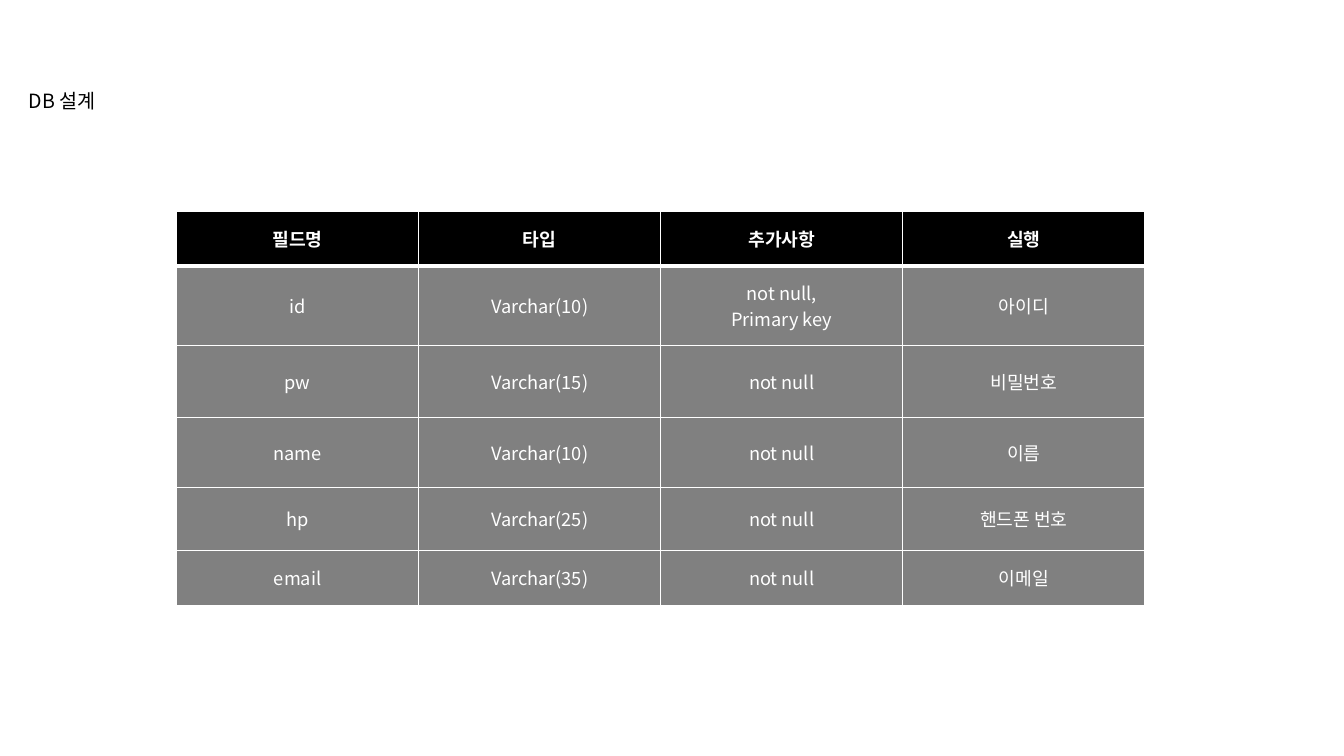
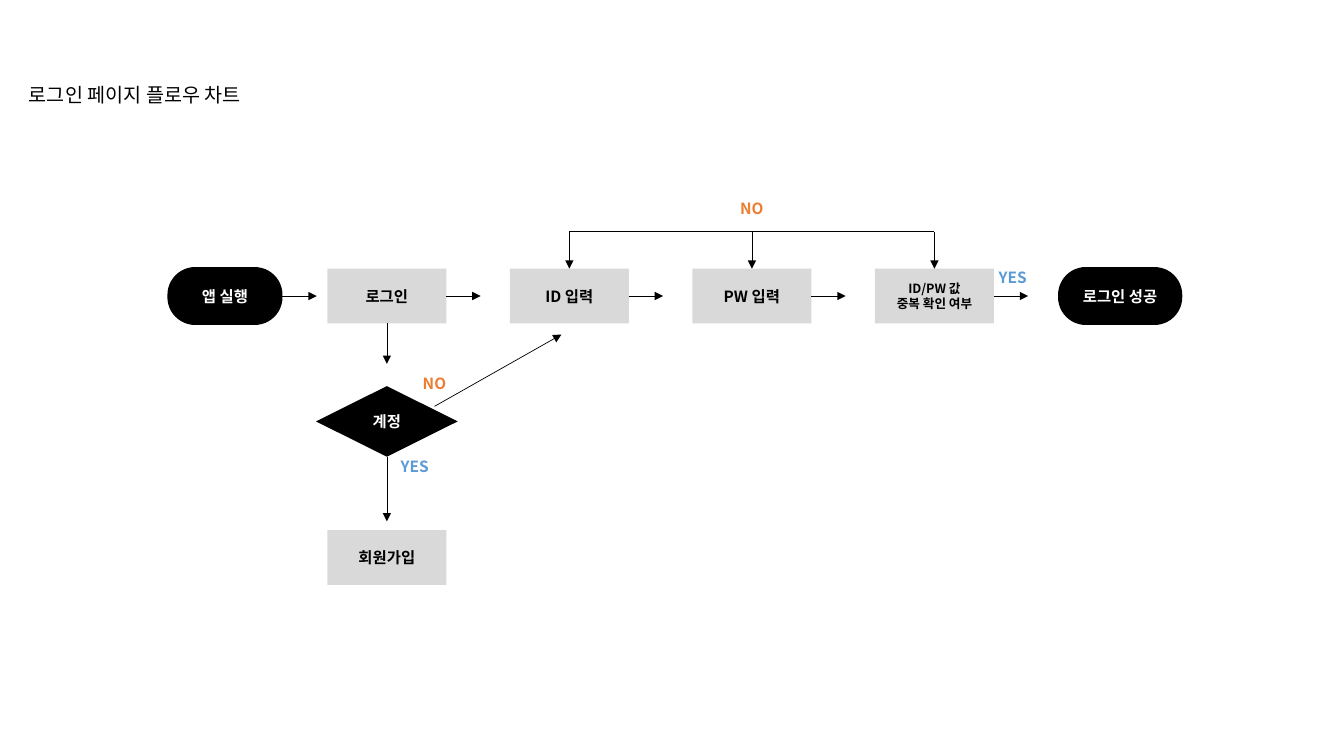
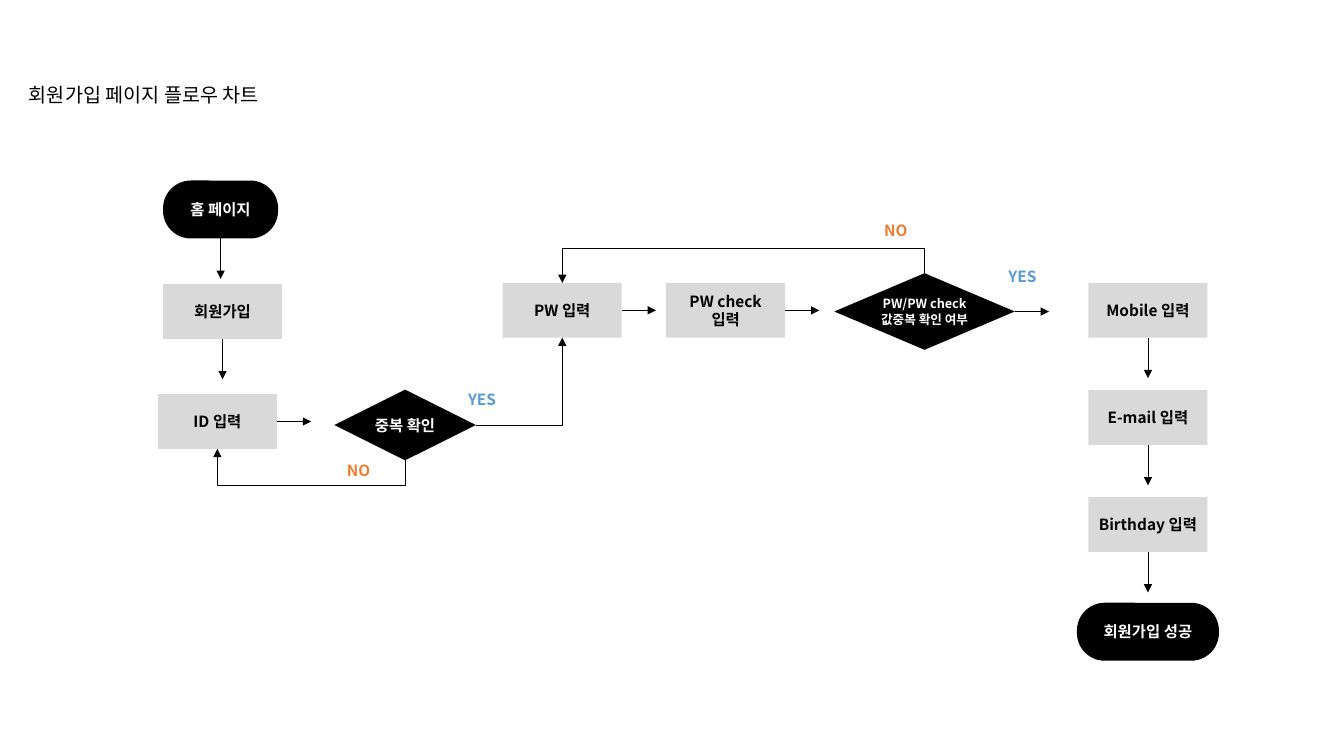
from dataclasses import dataclass
from itertools import pairwise

from lxml.etree import SubElement
from pptx import Presentation
from pptx.dml.color import RGBColor
from pptx.enum.shapes import MSO_CONNECTOR as Link, MSO_SHAPE as Form
from pptx.enum.text import MSO_ANCHOR as Anchor, PP_ALIGN as Align
from pptx.oxml import parse_xml
from pptx.oxml.ns import nsdecls, qn
from pptx.util import Cm, Pt


@dataclass(frozen=True)
class Theme:
    """Colours, type sizes and line widths of the deck."""
    font: str = "Noto Sans CJK KR"
    black: str = "000000"
    white: str = "FFFFFF"
    grey: str = "808080"
    pale: str = "D9D9D9"
    no: str = "ED7D31"
    yes: str = "5B9BD5"
    title: int = 14
    cell: int = 13
    node: int = 11
    small: int = 9
    thin: float = 0.5
    rule: int = 1
    heavy: int = 3


@dataclass(frozen=True)
class Box:
    """A rectangle in centimetres."""
    x: float
    y: float
    w: float
    h: float

    @property
    def right(self):
        """Middle of the right edge."""
        return self.x + self.w, self.y + self.h / 2

    @property
    def top(self):
        """Middle of the top edge."""
        return self.x + self.w / 2, self.y

    @property
    def base(self):
        """Middle of the bottom edge."""
        return self.x + self.w / 2, self.y + self.h

    def cut(self, mid_x, mid_y, w, h):
        """Box of the given size, centred on a point inside this one."""
        return Box(self.x + mid_x - w / 2, self.y + mid_y - h / 2, w, h)

    def point(self, x, y):
        """Point inside this box."""
        return self.x + x, self.y + y

    def place(self):
        """Left, top, width and height as lengths."""
        return Cm(self.x), Cm(self.y), Cm(self.w), Cm(self.h)


T = Theme()
STEP = 3.0, 1.38
PILL_W, PILL_H = 2.9, 1.46
GEM = 3.57, 1.78
SIDE, DOWN = 0.86, 1.02


def write(frame, text, *, size=T.node, color=T.black, bold=True,
          align=Align.CENTER, wrap=True):
    """Fill a text frame, one paragraph for each line."""
    frame.word_wrap = wrap
    frame.vertical_anchor = Anchor.MIDDLE
    for i, line in enumerate(text.split("\n")):
        para = frame.paragraphs[0] if i == 0 else frame.add_paragraph()
        para.alignment = align
        run = para.add_run()
        run.text = line
        font = run.font
        font.size, font.bold, font.name = Pt(size), bold, T.font
        font.color.rgb = RGBColor.from_string(color)
        SubElement(run.font._element, qn("a:ea"), typeface=T.font)


def title(page, text, box):
    """Page title on one line."""
    frame = page.shapes.add_textbox(*box.place()).text_frame
    write(frame, text, size=T.title, bold=False, align=Align.LEFT, wrap=False)


def node(page, form, text, box, fill=T.black, color=T.white, size=T.node):
    """Filled shape with centred text; gives back its box."""
    shape = page.shapes.add_shape(form, *box.place())
    shape.shadow.inherit = False
    shape.fill.solid()
    shape.fill.fore_color.rgb = RGBColor.from_string(fill)
    shape.line.fill.background()
    if form == Form.ROUNDED_RECTANGLE:
        shape.adjustments[0] = 0.48
    write(shape.text_frame, text, size=size, color=color, wrap=False)
    return box


def step(page, text, area, x, y, size=T.node):
    """Pale box for one step."""
    return node(page, Form.RECTANGLE, text, area.cut(x, y, *STEP),
                T.pale, T.black, size)


def pill(page, text, area, x, y, w=PILL_W):
    """Black rounded box for a start or an end."""
    return node(page, Form.ROUNDED_RECTANGLE, text, area.cut(x, y, w, PILL_H))


def gem(page, text, area, x, y, dims=GEM, size=T.node):
    """Black diamond for a choice."""
    return node(page, Form.DIAMOND, text, area.cut(x, y, *dims), size=size)


def label(page, text, area, x, y):
    """Coloured answer next to an arrow."""
    w, color = (1.6, T.yes) if text == "YES" else (1.42, T.no)
    frame = page.shapes.add_textbox(*area.cut(x, y, w, 0.74).place()).text_frame
    write(frame, text, color=color)


def link(page, start, end, kind=Link.STRAIGHT, head=True):
    """Thin black line, with an arrowhead at its end by default."""
    line = page.shapes.add_connector(kind, *map(Cm, start + end))
    line.line.width = Pt(T.thin)
    line.line.color.rgb = RGBColor.from_string(T.black)
    props = line.element.spPr
    if head:
        SubElement(props.find(qn("a:ln")), qn("a:tailEnd"), type="triangle")
    SubElement(props, qn("a:effectLst"))
    return line


def east(page, box):
    """Short arrow to the right of a box."""
    x, y = box.right
    link(page, (x, y), (x + SIDE, y))


def south(page, box, size=DOWN):
    """Short arrow below a box."""
    x, y = box.base
    link(page, (x, y), (x, y + size))


def corner(page, start, end):
    """Arrow that runs across and then turns once."""
    line = link(page, start, end, Link.ELBOW)
    line.element.spPr.find(qn("a:prstGeom")).set("prst", "bentConnector2")


def loop(page, start, end, turn):
    """Arrow back to the left, by way of the height given as turn."""
    (x1, y1), (x2, y2) = start, end
    line = link(page, start, end, Link.ELBOW)
    w, h = abs(y2 - y1), abs(x2 - x1)
    area = Box((x1 + x2 - w) / 2, (y1 + y2 - h) / 2, w, h)
    line.left, line.top, line.width, line.height = area.place()
    props = line.element.spPr
    for name, value in (("rot", 90 * 60000), ("flipH", int(y2 < y1)),
                        ("flipV", 0)):
        props.find(qn("a:xfrm")).set(name, str(value))
    ratio = round((turn - y1) / (y2 - y1) * 100000)
    guides = props.find(qn("a:prstGeom")).find(qn("a:avLst"))
    SubElement(guides, qn("a:gd"), name="adj1", fmla=f"val {ratio}")


def edge(cell, top, base):
    """White borders of a cell; top and base are widths in points."""
    widths = (("lnL", T.rule), ("lnR", T.rule), ("lnT", top), ("lnB", base))
    props = cell._tc.get_or_add_tcPr()
    for i, (tag, width) in enumerate(widths):
        props.insert(i, parse_xml(
            f'<a:{tag} {nsdecls("a")} w="{Pt(width)}"><a:solidFill>'
            f'<a:srgbClr val="{T.white}"/></a:solidFill></a:{tag}>'))


def grid(page, rows, highs, box):
    """Table with a black head and grey rows."""
    table = page.shapes.add_table(len(rows), len(rows[0]), *box.place()).table
    for col in table.columns:
        col.width = Cm(box.w / len(rows[0]))
    for r, (texts, high) in enumerate(zip(rows, highs)):
        table.rows[r].height = Cm(high)
        for c, text in enumerate(texts):
            cell = table.cell(r, c)
            cell.fill.solid()
            cell.fill.fore_color.rgb = RGBColor.from_string(
                T.grey if r else T.black)
            edge(cell, T.heavy if r == 1 else T.rule,
                 T.rule if r else T.heavy)
            write(cell.text_frame, text, size=T.cell, color=T.white,
                  bold=r == 0)
            cell.vertical_anchor = Anchor.MIDDLE


def login(page, box):
    """Flow of the login page."""
    row, first, pitch = 2.58, 5.53, 4.6
    start = pill(page, "앱 실행", box, 1.45, row)
    names = (("로그인", T.node), ("ID 입력", T.node), ("PW 입력", T.node),
             ("ID/PW 값\n중복 확인 여부", T.small))
    steps = [step(page, text, box, first + i * pitch, row, size)
             for i, (text, size) in enumerate(names)]
    pill(page, "로그인 성공", box, box.w - 1.57, row, 3.13)
    user = gem(page, "계정", box, first, 5.74)
    step(page, "회원가입", box, first, 9.17)

    for item in (start, *steps):
        east(page, item)
    south(page, steps[0])
    south(page, user, 1.63)
    link(page, box.point(6.73, 5.36), box.point(9.93, 3.55))

    rail = box.y + 0.96
    for item in steps[1:]:
        x, y = item.top
        link(page, (x, rail), (x, y))
    link(page, (steps[1].top[0], rail), (steps[-1].top[0], rail), head=False)

    for text, x, y in (("NO", 6.73, 4.79), ("YES", 6.23, 6.87),
                       ("NO", first + 2 * pitch, 0.37), ("YES", 21.3, 2.12)):
        label(page, text, box, x, y)


def signup(page, box):
    """Flow of the sign-up page."""
    row, pitch, last = 3.27, 2.7, 24.95
    home = pill(page, "홈 페이지", box, 1.58, 0.73)
    join = step(page, "회원가입", box, 1.63, 3.3)
    ident = step(page, "ID 입력", box, 1.5, 6.07)
    check = gem(page, "중복 확인", box, 6.23, 6.16)
    word = step(page, "PW 입력", box, 10.19, row)
    again = step(page, "PW check\n입력", box, 14.31, row)
    match = gem(page, "PW/PW check\n값중복 확인 여부", box, 19.32, 3.3,
                (4.55, 1.93), T.small)
    tail = [step(page, f"{name} 입력", box, last, row + i * pitch)
            for i, name in enumerate(("Mobile", "E-mail", "Birthday"))]
    pill(page, "회원가입 성공", box, last, row + 3 * pitch, 3.58)

    for item in (home, join, *tail):
        south(page, item)
    for item in (ident, word, again, match):
        east(page, item)
    corner(page, check.right, word.base)
    loop(page, check.base, ident.base, check.base[1] + 0.64)
    loop(page, match.top, word.top, match.top[1] - 0.64)

    for text, x, y in (("NO", 5.06, 7.3), ("YES", 8.17, 5.52),
                       ("NO", 18.6, 1.25), ("YES", 21.79, 2.42)):
        label(page, text, box, x, y)


FIELDS = (
    ("필드명", "타입", "추가사항", "실행"),
    ("id", "Varchar(10)", "not null,\nPrimary key", "아이디"),
    ("pw", "Varchar(15)", "not null", "비밀번호"),
    ("name", "Varchar(10)", "not null", "이름"),
    ("hp", "Varchar(25)", "not null", "핸드폰 번호"),
    ("email", "Varchar(35)", "not null", "이메일"),
)
HIGHS = (1.37, 2.0, 1.83, 1.75, 1.6, 1.37)


def main():
    """Build and save the deck."""
    deck = Presentation()
    deck.slide_width, deck.slide_height = Cm(33.87), Cm(19.05)
    blank = deck.slide_layouts[6]

    page = deck.slides.add_slide(blank)
    title(page, "DB 설계", Box(0.48, 2.11, 2.34, 0.86))
    grid(page, FIELDS, HIGHS, Box(4.45, 5.33, 24.4, sum(HIGHS)))

    page = deck.slides.add_slide(blank)
    title(page, "로그인 페이지 플로우 차트", Box(0.48, 1.96, 6.53, 0.86))
    login(page, Box(4.22, 4.88, 25.58, 9.86))

    page = deck.slides.add_slide(blank)
    title(page, "회원가입 페이지 플로우 차트", Box(0.48, 1.96, 7.0, 0.86))
    signup(page, Box(3.98, 4.55, 26.73, 12.1))

    deck.save("out.pptx")


main()
